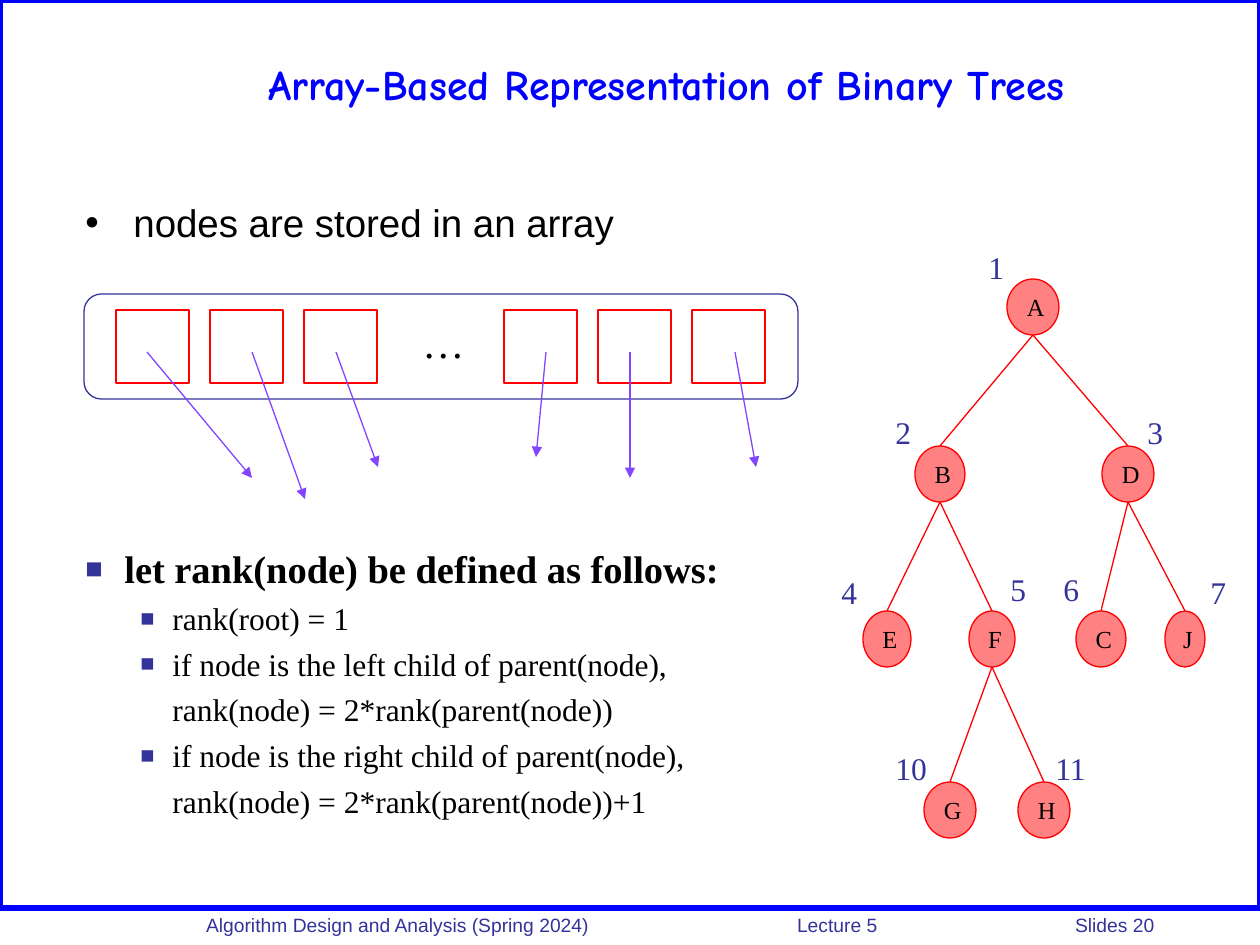
from dataclasses import dataclass
from typing import NamedTuple

from lxml import etree
from pptx import Presentation
from pptx.dml.color import RGBColor
from pptx.enum.shapes import MSO_CONNECTOR, MSO_SHAPE
from pptx.enum.text import MSO_ANCHOR, MSO_AUTO_SIZE, PP_ALIGN
from pptx.oxml.ns import qn
from pptx.util import Pt

STRAIGHT = MSO_CONNECTOR.STRAIGHT
RECTANGLE, ROUNDED, OVAL = MSO_SHAPE.RECTANGLE, MSO_SHAPE.ROUNDED_RECTANGLE, MSO_SHAPE.OVAL
MIDDLE = MSO_ANCHOR.MIDDLE
GROW = MSO_AUTO_SIZE.SHAPE_TO_FIT_TEXT
CENTER = PP_ALIGN.CENTER
EMU_PER_PX = 914400 / 126


@dataclass(frozen=True)
class Theme:
    blue: str = "0000FF"
    navy: str = "333399"
    violet: str = "8345FF"
    red: str = "FF0000"
    pink: str = "FF8181"
    black: str = "000000"
    sans: str = "Arial"
    serif: str = "Times New Roman"
    comic: str = "Comic Neue"
    title_size: int = 24
    lead_size: int = 22
    detail_size: int = 18
    node_size: int = 14
    footer_size: int = 11
    thin: float = 0.75
    thick: float = 3


THEME = Theme()


class Node(NamedTuple):
    parent: str
    depth: int
    center: int
    width: int
    rank: str
    rank_at: tuple


TREE = {
    "A": Node("", 0, 1033, 52, "1", (976, 242)),
    "B": Node("A", 1, 940, 50, "2", (883, 407)),
    "D": Node("A", 1, 1128, 52, "3", (1135, 407)),
    "E": Node("B", 2, 887, 48, "4", (829, 567)),
    "F": Node("B", 2, 992, 46, "5", (998, 564)),
    "C": Node("D", 2, 1101, 50, "6", (1051, 564)),
    "J": Node("D", 2, 1185, 40, "7", (1198, 567)),
    "G": Node("F", 3, 950, 52, "10", (883, 743)),
    "H": Node("F", 3, 1044, 52, "11", (1043, 743)),
}
DEPTH_TOPS = (279, 446, 611, 782)
NODE_HEIGHT = 56

POINTERS = (
    ((147, 352), (252, 478)),
    ((252, 352), (305, 499)),
    ((336, 352), (378, 467)),
    ((546, 352), (536, 457)),
    ((630, 352), (630, 478)),
    ((735, 352), (756, 467)),
)

RANK_RULES = (
    ("rank(root) = 1", True),
    ("if node is the left child of parent(node),", True),
    ("rank(node) = 2*rank(parent(node))", False),
    ("if node is the right child of parent(node),", True),
    ("rank(node) = 2*rank(parent(node))+1", False),
)


def px(length):
    return round(length * EMU_PER_PX)


def apply(target, **values):
    for name, value in values.items():
        setattr(target, name, value)


def write(paragraph, text, size, face, color, bold=False):
    paragraph.add_run().text = text
    apply(paragraph.font, size=Pt(size), name=face, bold=bold)
    paragraph.font.color.rgb = RGBColor.from_string(color)


def add_text_box(slide, box, **frame_values):
    frame = slide.shapes.add_textbox(*map(px, box)).text_frame
    apply(frame, **{"word_wrap": True, **frame_values})
    return frame


def add_outline(slide, kind, box, color, width=THEME.thin, fill=None):
    shape = slide.shapes.add_shape(kind, *map(px, box))
    shape.shadow.inherit = False
    if fill:
        shape.fill.solid()
        shape.fill.fore_color.rgb = RGBColor.from_string(fill)
    else:
        shape.fill.background()
    shape.line.color.rgb = RGBColor.from_string(color)
    shape.line.width = Pt(width)
    return shape


def add_line(slide, start, end, color, arrow=False):
    line = slide.shapes.add_connector(STRAIGHT, *map(px, start + end))
    line.line.color.rgb = RGBColor.from_string(color)
    line.line.width = Pt(THEME.thin)
    if arrow:
        etree.SubElement(line.line._get_or_add_ln(), qn("a:tailEnd"), type="triangle")
    etree.SubElement(line._element.spPr, qn("a:effectLst"))


def set_indent(paragraph, left, hanging, mark="", color=THEME.navy, percent=75):
    properties = paragraph._p.get_or_add_pPr()
    properties.set("marL", str(px(left)))
    properties.set("indent", str(-px(hanging)))
    if mark:
        bullet_color = etree.SubElement(properties, qn("a:buClr"))
        etree.SubElement(bullet_color, qn("a:srgbClr"), val=color)
        etree.SubElement(properties, qn("a:buSzPct"), val=str(percent * 1000))
        etree.SubElement(properties, qn("a:buFont"), typeface=THEME.sans)
        etree.SubElement(properties, qn("a:buChar"), char=mark)


def set_tabs(paragraph, stops):
    tabs = etree.SubElement(paragraph._p.get_or_add_pPr(), qn("a:tabLst"))
    for stop in stops:
        etree.SubElement(tabs, qn("a:tab"), pos=str(px(stop)), algn="l")


def add_page_frame(slide):
    add_outline(slide, RECTANGLE, (0, 0, 1260, 908), THEME.blue, THEME.thick)
    footer = add_text_box(slide, (168, 907, 1092, 33), margin_left=px(38)).paragraphs[0]
    set_tabs(footer, (591, 869))
    write(footer, "Algorithm Design and Analysis (Spring 2024)\tLecture 5\tSlides 20",
          THEME.footer_size, THEME.sans, THEME.navy)


def add_title(slide):
    title = add_text_box(slide, (105, 0, 1123, 168), vertical_anchor=MIDDLE).paragraphs[0]
    title.alignment = CENTER
    write(title, "Array-Based Representation of Binary Trees",
          THEME.title_size, THEME.comic, THEME.blue, True)


def add_storage_point(slide):
    point = add_text_box(slide, (73, 189, 725, 84), margin_top=px(10)).paragraphs[0]
    set_indent(point, 48, 48, "•", THEME.black, 100)
    write(point, "nodes are stored in an array", THEME.lead_size, THEME.sans, THEME.black)


def add_array(slide):
    add_outline(slide, ROUNDED, (84, 294, 714, 105), THEME.navy)
    for first_cell in (116, 504):
        for index in range(3):
            add_outline(slide, RECTANGLE, (first_cell + 94 * index, 310, 73, 73), THEME.red)
    gap = add_text_box(slide, (410, 310, 67, 63), word_wrap=False, auto_size=GROW)
    write(gap.paragraphs[0], "…", THEME.title_size, THEME.serif, THEME.black)
    for start, end in POINTERS:
        add_line(slide, start, end, THEME.violet, arrow=True)


def add_rank_definition(slide):
    definition = add_text_box(slide, (73, 535, 693, 294), margin_top=px(10))
    lead = definition.paragraphs[0]
    set_indent(lead, 39, 39, "■")
    write(lead, "let rank(node) be defined as follows:",
          THEME.lead_size, THEME.serif, THEME.black, True)
    for text, bulleted in RANK_RULES:
        rule = definition.add_paragraph()
        apply(rule, level=1, space_before=Pt(4.5))
        set_indent(rule, 87, 32 if bulleted else 0, "■" if bulleted else "")
        write(rule, text, THEME.detail_size, THEME.serif, THEME.black)


def add_tree(slide):
    for letter, node in TREE.items():
        top = DEPTH_TOPS[node.depth]
        if node.parent:
            parent = TREE[node.parent]
            parent_bottom = DEPTH_TOPS[parent.depth] + NODE_HEIGHT
            add_line(slide, (parent.center, parent_bottom), (node.center, top), THEME.red)
        circle = add_outline(slide, OVAL,
                             (node.center - node.width // 2, top, node.width, NODE_HEIGHT),
                             THEME.red, fill=THEME.pink)
        apply(circle.text_frame, word_wrap=False, auto_size=GROW, vertical_anchor=MIDDLE)
        label = circle.text_frame.paragraphs[0]
        label.alignment = CENTER
        write(label, letter, THEME.node_size, THEME.serif, THEME.black)
        rank = add_text_box(slide, (*node.rank_at, 26 + 16 * len(node.rank), 50),
                            word_wrap=False, auto_size=GROW)
        write(rank.paragraphs[0], node.rank, THEME.detail_size, THEME.serif, THEME.navy)


def main():
    deck = Presentation()
    apply(deck, slide_width=px(1260), slide_height=px(945))
    slide = deck.slides.add_slide(deck.slide_layouts[6])
    for add_part in (add_page_frame, add_title, add_storage_point,
                     add_array, add_rank_definition, add_tree):
        add_part(slide)
    deck.save("out.pptx")


if __name__ == "__main__":
    main()
